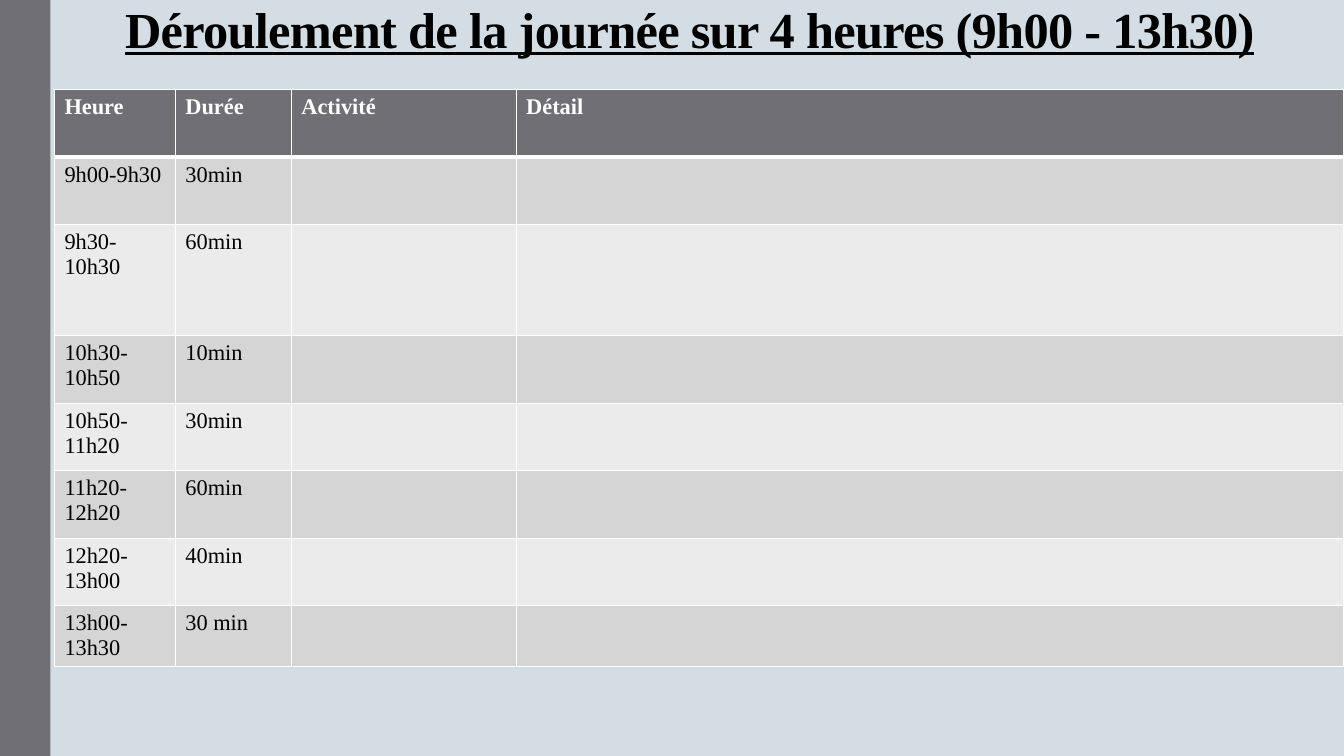
from typing import NamedTuple

from lxml import etree
from pptx import Presentation
from pptx.dml.color import RGBColor
from pptx.enum.shapes import MSO_SHAPE
from pptx.enum.text import MSO_ANCHOR, MSO_AUTO_SIZE, PP_ALIGN
from pptx.oxml.ns import qn
from pptx.util import Inches, Pt

RECT = MSO_SHAPE.RECTANGLE
MIDDLE, LEFT, NO_FIT = MSO_ANCHOR.MIDDLE, PP_ALIGN.LEFT, MSO_AUTO_SIZE.NONE

SKY = RGBColor(0xD3, 0xDD, 0xE3)
GREY = RGBColor(0x6F, 0x6F, 0x74)
BAND_DARK = RGBColor(0xD5, 0xD5, 0xD6)
BAND_LIGHT = RGBColor(0xEB, 0xEB, 0xEB)
WHITE = RGBColor(0xFF, 0xFF, 0xFF)
BLACK = RGBColor(0x00, 0x00, 0x00)

FONT = "Times New Roman"
WIDTH, HEIGHT = Inches(13.33), Inches(7.5)
THIN, THICK = Pt(1), Pt(3)


class Slot(NamedTuple):
    hours: str
    duration: str
    height: float = 8.93  # percent of the slide height


HEADERS = ("Heure", "Durée", "Activité", "Détail")
COLUMNS = (9, 8.63, 16.73, 61.59)  # percent of the slide width
HEADER_HEIGHT = 8.93
SLOTS = (
    Slot("9h00-9h30", "30min"),
    Slot("9h30-10h30", "60min", 14.67),
    Slot("10h30-10h50", "10min"),
    Slot("10h50-11h20", "30min"),
    Slot("11h20-12h20", "60min"),
    Slot("12h20-13h00", "40min"),
    Slot("13h00-13h30", "30 min", 8),
)


def across(percent: float) -> int:
    return round(WIDTH * percent / 100)


def down(percent: float) -> int:
    return round(HEIGHT * percent / 100)


def format_font(font, color: RGBColor, **values) -> None:
    font.color.rgb = color
    for name, value in {"name": FONT, **values}.items():
        setattr(font, name, value)


def add_title(s, text: str) -> None:
    sp = s.shapes.title
    sp.left, sp.top, sp.width, sp.height = across(8.55), down(0.93), across(91.45), down(6.8)
    tf = sp.text_frame
    frame = {"word_wrap": True, "auto_size": NO_FIT, "vertical_anchor": MIDDLE,
             "margin_top": 0, "margin_bottom": 0}
    for name, value in frame.items():
        setattr(tf, name, value)
    p = tf.paragraphs[0]
    p.alignment, p.line_spacing = LEFT, 0.85
    r = p.add_run()
    r.text = text
    format_font(r.font, BLACK, size=Pt(36), bold=True, underline=True)
    r.font._element.set("spc", "-50")


def add_borders(cell, top: int, bottom: int) -> None:
    tc_pr = cell._tc.get_or_add_tcPr()
    for side, width in {"L": THIN, "R": THIN, "T": top, "B": bottom}.items():
        ln = etree.SubElement(tc_pr, qn(f"a:ln{side}"), w=str(width))
        fill = etree.SubElement(ln, qn("a:solidFill"))
        etree.SubElement(fill, qn("a:srgbClr"), val=str(WHITE))


def fill_cell(cell, text: str, row: int) -> None:
    header = row == 0
    add_borders(cell, THICK if row == 1 else THIN, THICK if header else THIN)
    cell.fill.solid()
    cell.fill.fore_color.rgb = GREY if header else BAND_DARK if row % 2 else BAND_LIGHT
    p = cell.text_frame.paragraphs[0]
    if text:
        p.add_run().text = text
    format_font(p.font, WHITE if header else BLACK, size=Pt(16), bold=header)
    for r in p.runs:
        format_font(r.font, WHITE if header else BLACK, size=Pt(16), bold=header)


def add_schedule(s) -> None:
    heights = [HEADER_HEIGHT] + [slot.height for slot in SLOTS]
    rows = [HEADERS] + [(slot.hours, slot.duration, "", "") for slot in SLOTS]
    table = s.shapes.add_table(len(rows), len(HEADERS), across(4.05), down(11.87),
                               across(sum(COLUMNS)), down(sum(heights))).table
    table.horz_banding = False
    for column, share in zip(table.columns, COLUMNS):
        column.width = across(share)
    for i, (height, texts) in enumerate(zip(heights, rows)):
        table.rows[i].height = down(height)
        for j, text in enumerate(texts):
            fill_cell(table.cell(i, j), text, i)


def main() -> None:
    prs = Presentation()
    prs.slide_width, prs.slide_height = WIDTH, HEIGHT
    s = prs.slides.add_slide(prs.slide_layouts[5])

    # Background and side bar
    s.background.fill.solid()
    s.background.fill.fore_color.rgb = SKY
    bar = s.shapes.add_shape(RECT, 0, 0, across(3.75), HEIGHT)
    bar.shadow.inherit = False
    bar.fill.solid()
    bar.fill.fore_color.rgb = GREY
    bar.line.fill.background()

    # Title and schedule
    add_title(s, "Déroulement de la journée sur 4 heures (9h00 - 13h30)")
    add_schedule(s)
    prs.save("out.pptx")


if __name__ == "__main__":
    main()
